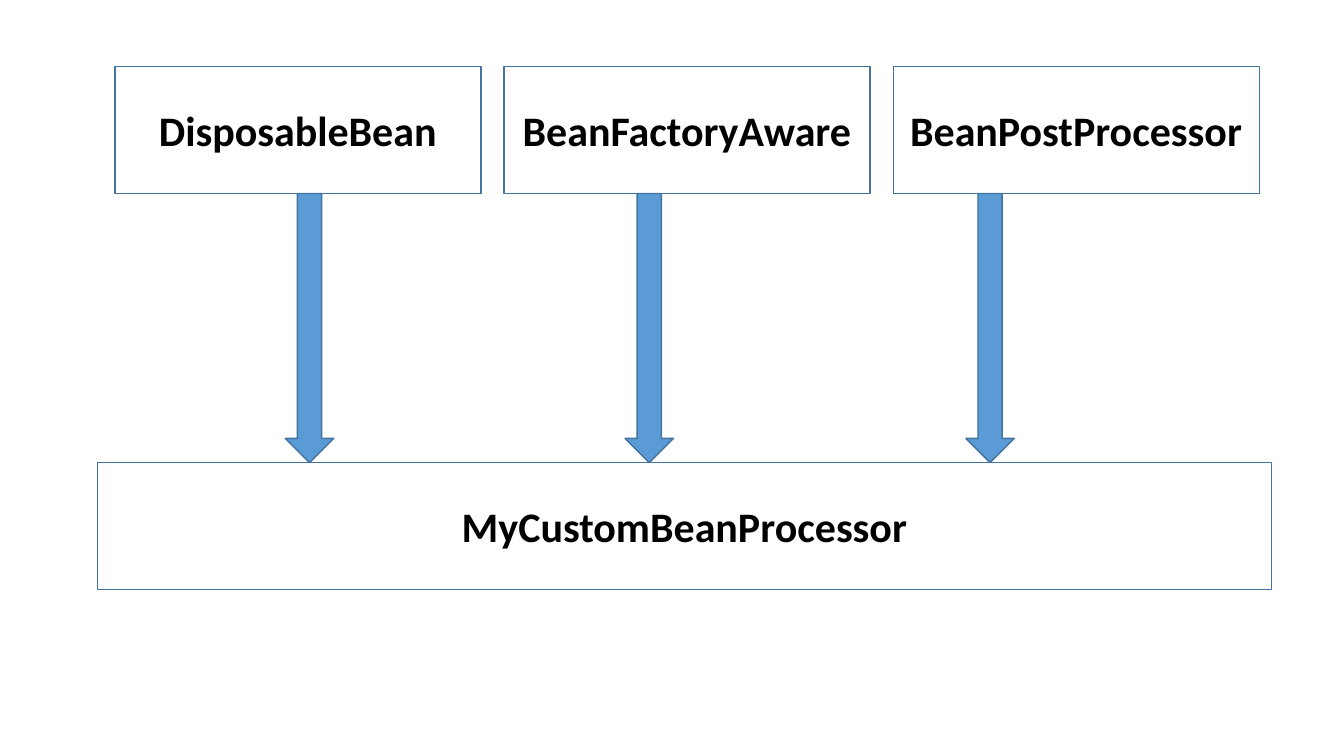
import pptx
import pptx.util
import pptx.dml.color
import pptx.enum.shapes
import pptx.enum.text

RGB = pptx.dml.color.RGBColor
WHITE = RGB(0xFF, 0xFF, 0xFF)
BLACK = RGB(0x00, 0x00, 0x00)
BLUE = RGB(0x5B, 0x9B, 0xD5)
EDGE = RGB(0x43, 0x73, 0x9E)
SHAPE = pptx.enum.shapes.MSO_SHAPE


class Draw:
    font = "Calibri"
    size = 30
    scale = 9144  # EMU per px, 100 px to the inch

    def __init__(self, slide):
        self.slide = slide

    def shape(self, kind, left, top, width, height, fill):
        area = [n * self.scale for n in (left, top, width, height)]
        shape = self.slide.shapes.add_shape(kind, *area)
        shape.shadow.inherit = False
        shape.fill.solid()
        shape.fill.fore_color.rgb = fill
        shape.line.color.rgb = EDGE
        shape.line.width = pptx.util.Pt(1)
        return shape

    def box(self, text, left, top, width, height):
        frame = self.shape(SHAPE.RECTANGLE, left, top, width, height, WHITE).text_frame
        frame.word_wrap = True
        frame.vertical_anchor = pptx.enum.text.MSO_ANCHOR.MIDDLE
        para = frame.paragraphs[0]
        para.alignment = pptx.enum.text.PP_ALIGN.CENTER
        run = para.add_run()
        run.text = text
        run.font.name = self.font
        run.font.size = pptx.util.Pt(self.size)
        run.font.bold = True
        run.font.color.rgb = BLACK

    def arrow(self, left, top, width, height):
        self.shape(SHAPE.DOWN_ARROW, left, top, width, height, BLUE)


def main():
    deck = pptx.Presentation()
    deck.slide_width = 1333 * Draw.scale
    deck.slide_height = 750 * Draw.scale
    draw = Draw(deck.slides.add_slide(deck.slide_layouts[6]))

    # Class that implements the interfaces
    top, high, base = 66, 126, 459
    draw.box("MyCustomBeanProcessor", 97, base, 1164, high)

    # Interfaces, each with an arrow down to the class
    names = ("DisposableBean", "BeanFactoryAware", "BeanPostProcessor")
    foot = top + high
    for i, name in enumerate(names):
        draw.box(name, 114 + 386 * i, top, 363, high)
        draw.arrow(283 + 675 * i // 2, foot, 48, base - foot)

    deck.save("out.pptx")


if __name__ == "__main__":
    main()
